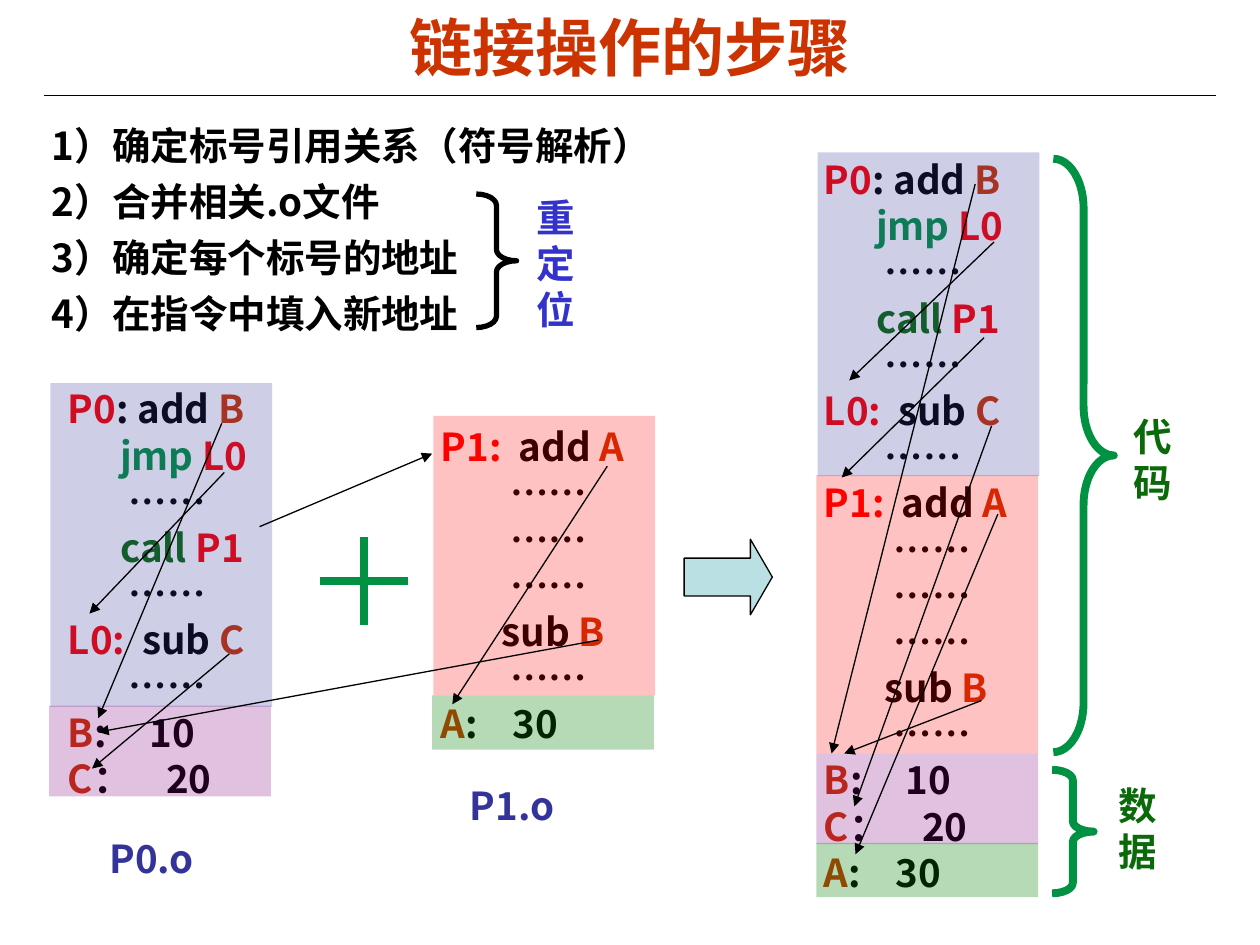
from dataclasses import dataclass

from lxml.etree import SubElement
from pptx import Presentation
from pptx.dml.color import RGBColor
from pptx.enum.shapes import MSO_CONNECTOR, MSO_SHAPE
from pptx.enum.text import MSO_ANCHOR, PP_ALIGN
from pptx.oxml.ns import qn
from pptx.util import Inches, Pt


@dataclass(frozen=True)
class Theme:
    latin: str = "Arial"
    cjk: str = "Noto Sans CJK SC"
    head: int = 36
    body: int = 22
    thin: float = 0.75
    mid: float = 3
    thick: float = 4.5
    black: str = "000000"
    title: str = "CC3300"
    label: str = "FF0000"
    symbol: str = "CC3300"
    jump: str = "009242"
    call: str = "0A6A0A"
    file: str = "333399"
    note: str = "3333CC"
    block: str = "BBE0E3"


T = Theme()

# Band kinds: fill colour and opacity in percent
CODE0, CODE1 = ("333399", 24), ("FF0000", 24)
VARS0, VARS1 = ("800080", 24), ("008000", 29)

# Listing rows: tab stop in inches (0 for none), then coloured runs
DOTS0 = (0, [("       ……", T.black)])
DOTS1 = (0, [("        ……", T.black)])
P0_CODE = [
    (0, [("P0", T.label), (": add ", T.black), ("B", T.symbol)]),
    (0, [("      jmp ", T.jump), ("L0", T.label)]),
    DOTS0,
    (0, [("      call ", T.call), ("P1", T.label)]),
    DOTS0,
    (0.59, [("L0:\t", T.label), ("sub ", T.black), ("C", T.symbol)]),
    DOTS0,
]
P1_CODE = [
    (0.62, [("P1:\t", T.label), ("add ", T.black), ("A", T.symbol)]),
    DOTS1, DOTS1, DOTS1,
    (0, [("       sub ", T.black), ("B", T.symbol)]),
    DOTS1,
]
P0_DATA = [
    (0.65, [("B", T.symbol), (":\t10", T.black)]),
    (0.78, [("C", T.symbol), ("：\t20", T.black)]),
]
P1_DATA = [(0.57, [("A", T.symbol), (":\t30", T.black)])]


def color(code):
    return RGBColor.from_string(code)


def write(slide, box, rows, font=T.cjk, size=T.body, align=PP_ALIGN.LEFT,
          anchor=MSO_ANCHOR.TOP, lines=None, gap=0, hang=0):
    frame = slide.shapes.add_textbox(*map(Inches, box)).text_frame
    frame.word_wrap = True
    frame.vertical_anchor = anchor
    for i, (tab, runs) in enumerate(rows):
        para = frame.paragraphs[0] if i == 0 else frame.add_paragraph()
        para.alignment = align
        if lines:
            para.line_spacing = lines
        if i and gap:
            para.space_before = Pt(gap)
        props = para._p.get_or_add_pPr()
        if hang:
            props.set("marL", str(Inches(hang)))
            props.set("indent", str(-Inches(hang)))
        if tab:
            stops = SubElement(props, qn("a:tabLst"))
            SubElement(stops, qn("a:tab"), pos=str(Inches(tab)), algn="l")
        for text, code in runs:
            run = para.add_run()
            run.text = text
            run.font.name = font
            run.font.size = Pt(size)
            run.font.bold = True
            run.font.color.rgb = color(code)
            SubElement(run._r.rPr, qn("a:ea"), typeface=T.cjk)


def label(slide, box, text, code, **form):
    write(slide, box, [(0, [(text, code)])], **form)


def line(slide, start, end, code=T.black, width=T.thin, arrow=False):
    link = slide.shapes.add_connector(
        MSO_CONNECTOR.STRAIGHT, *map(Inches, (*start, *end)))
    link.line.color.rgb = color(code)
    link.line.width = Pt(width)
    if arrow:
        SubElement(link.line._get_or_add_ln(), qn("a:tailEnd"), type="triangle")
    SubElement(link._element.spPr, qn("a:effectLst"))


def shape(slide, kind, box, fill=None, alpha=None, edge=None, width=T.thin,
          adjust=()):
    form = slide.shapes.add_shape(kind, *map(Inches, box))
    form.shadow.inherit = False
    for i, value in enumerate(adjust):
        form.adjustments[i] = value
    if fill:
        form.fill.solid()
        form.fill.fore_color.rgb = color(fill)
    else:
        form.fill.background()
    if alpha:
        tint = form._element.spPr.find(qn("a:solidFill"))[0]
        SubElement(tint, qn("a:alpha"), val=str(alpha * 1000))
    if edge:
        form.line.color.rgb = color(edge)
        form.line.width = Pt(width)
    else:
        form.line.fill.background()


def header(slide, box):
    x, y, w, h = box
    label(slide, (x + 0.15, y, w - 0.3, h), "链接操作的步骤", T.title, font=T.latin,
          size=T.head, align=PP_ALIGN.CENTER, anchor=MSO_ANCHOR.MIDDLE)
    line(slide, (x, y + 0.7), (x + w, y + 0.7))


def steps(slide, box):
    items = ["1）确定标号引用关系（符号解析）", "2）合并相关.o文件",
             "3）确定每个标号的地址", "4）在指令中填入新地址"]
    write(slide, box, [(0, [(item, T.black)]) for item in items],
          lines=1.05, gap=4.4, hang=0.38)


def brace(slide, box, bend, text, place, code, edge, width):
    """Place a right brace in the box and its upright label beside it."""
    x, y, _, _ = box
    dx, dy, w, h = place
    shape(slide, MSO_SHAPE.RIGHT_BRACE, box, edge=edge, width=width,
          adjust=(bend, 0.5))
    label(slide, (x + dx, y + dy, w, h), text, code, font=T.latin)


def panel(slide, box, rows, bands, arrows):
    """Place a listing, its tinted bands and its reference arrows."""
    x, y, _, _ = box
    write(slide, box, rows)
    for dx, dy, h, (fill, alpha) in bands:
        shape(slide, MSO_SHAPE.RECTANGLE, (x + dx, y + dy, 1.76, h), fill, alpha)
    for x1, y1, x2, y2 in arrows:
        line(slide, (x + x1, y + y1), (x + x2, y + y2), arrow=True)


def plus(slide, box):
    x, y, w, h = box
    for start, end in [((x, y + h / 2), (x + w, y + h / 2)),
                       ((x + w / 2, y), (x + w / 2, y + h))]:
        line(slide, start, end, T.jump, T.thick)


def main():
    deck = Presentation()
    deck.slide_width, deck.slide_height = Inches(10), Inches(7.5)
    slide = deck.slides.add_slide(deck.slide_layouts[6])

    # Title and steps
    header(slide, (0.35, 0.06, 9.3, 0.61))
    steps(slide, (0.31, 0.9, 5.27, 1.88))
    brace(slide, (3.78, 1.54, 0.32, 1.06), 0.28, "重定位",
          (0.38, -0.05, 0.59, 1.21), T.note, T.black, T.mid)

    # Merge signs
    plus(slide, (2.54, 4.26, 0.7, 0.7))
    shape(slide, MSO_SHAPE.RIGHT_ARROW, (5.43, 4.28, 0.7, 0.6), T.block,
          edge=T.black, adjust=(0.5, 0.29))

    # Merged program
    panel(slide, (6.44, 1.19, 2.05, 5.96),
          P0_CODE + P1_CODE + P0_DATA + P1_DATA,
          [(0.05, 0.02, 2.57, CODE0), (0.04, 2.58, 2.21, CODE1),
           (0.04, 4.79, 0.72, VARS0), (0.04, 5.5, 0.43, VARS1)],
          [(1.3, 0.27, 0.16, 4.79), (1.35, 4.37, 0.26, 4.79),
           (1.48, 2.89, 0.35, 5.59), (1.43, 2.19, 0.34, 5.21),
           (1.45, 0.73, 0.3, 1.83), (1.37, 1.49, 0.24, 2.6)])
    brace(slide, (8.36, 1.26, 0.48, 4.71), 0.82, "代码",
          (0.54, 1.97, 0.7, 0.83), T.call, T.jump, T.thick)
    brace(slide, (8.35, 6.11, 0.33, 0.98), 0.25, "数据",
          (0.43, 0.05, 0.7, 0.83), T.call, T.jump, T.thick)

    # Source modules
    panel(slide, (3.4, 3.31, 1.9, 2.66), P1_CODE + P1_DATA,
          [(0.04, -0.01, 2.22, CODE1), (0.03, 2.21, 0.43, VARS1)],
          [(1.42, 0.39, 0.19, 2.28)])
    label(slide, (3.63, 6.16, 1.02, 0.47), "P1.o", T.file)
    panel(slide, (0.44, 3.01, 2.05, 3.4), P0_CODE + P0_DATA,
          [(-0.04, 0.03, 2.57, CODE0), (-0.05, 2.59, 0.72, VARS0)],
          [(1.34, 0.74, 0.27, 1.86), (1.32, 0.35, 0.34, 2.69),
           (1.38, 2.18, 0.29, 3.09)])
    label(slide, (0.77, 6.58, 1.02, 0.47), "P0.o", T.file)

    # References between modules
    line(slide, (2.06, 4.18), (3.43, 3.6), arrow=True)
    line(slide, (4.75, 5.08), (0.78, 5.81), arrow=True)

    deck.save("out.pptx")


if __name__ == "__main__":
    main()
